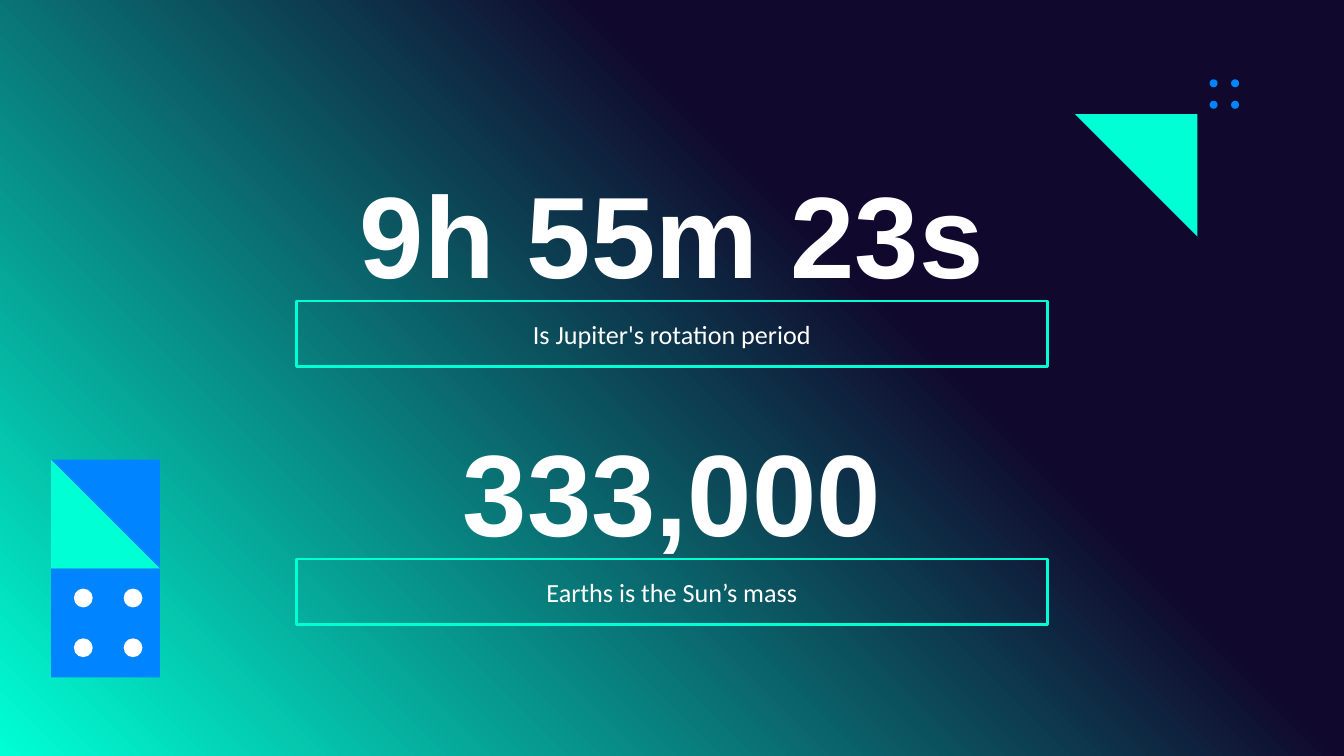
from pptx import Presentation
from pptx.dml.color import RGBColor
from pptx.enum.shapes import MSO_SHAPE
from pptx.enum.text import MSO_ANCHOR, PP_ALIGN
from pptx.util import Inches, Pt

NIGHT, MINT, BLUE, WHITE = "10092D", "00FFD5", "0084FF", "FFFFFF"
PAGE_WIDTH = 10
PAGE_HEIGHT = PAGE_WIDTH * 9 / 16


def color(value):
    return RGBColor.from_string(value)


def paint(shape, fill=None, line=None, width=1.5):
    shape.shadow.inherit = False
    if fill:
        shape.fill.solid()
        shape.fill.fore_color.rgb = color(fill)
    else:
        shape.fill.background()
    if line:
        shape.line.color.rgb = color(line)
        shape.line.width = Pt(width)
    else:
        shape.line.fill.background()


def add_preset(page, kind, left, top, width, height, **style):
    shape = page.shapes.add_shape(
        kind, Inches(left), Inches(top), Inches(width), Inches(height))
    paint(shape, **style)
    return shape


def add_triangle(page, corners, fill):
    points = [(Inches(x), Inches(y)) for x, y in corners]
    builder = page.shapes.build_freeform(*points[0])
    builder.add_line_segments(points[1:], close=True)
    paint(builder.convert_to_shape(), fill=fill)


def add_dots(page, left, top, size, step, fill):
    """Draw a two by two grid of dots."""
    for column in range(2):
        for row in range(2):
            add_preset(page, MSO_SHAPE.OVAL, left + column * step,
                       top + row * step, size, size, fill=fill)


def write(shape, text, *, font, size, bold=False):
    frame = shape.text_frame
    frame.word_wrap = True
    frame.vertical_anchor = MSO_ANCHOR.MIDDLE
    frame.margin_left = frame.margin_right = Inches(0.1)
    frame.margin_top = frame.margin_bottom = Inches(0.1)
    para = frame.paragraphs[0]
    para.alignment = PP_ALIGN.CENTER
    span = para.add_run()
    span.text = text
    span.font.name = font
    span.font.size = Pt(size)
    span.font.bold = bold
    span.font.color.rgb = color(WHITE)


def add_background(page):
    fill = page.background.fill
    fill.gradient()
    fill.gradient_angle = 225
    for stop, position, value in zip(fill.gradient_stops, (0.36, 1), (NIGHT, MINT)):
        stop.position = position
        stop.color.rgb = color(value)


def add_top_ornament(page, left, top, side):
    right = left + side
    add_triangle(page, [(left, top), (right, top), (right, top + side)], MINT)
    add_dots(page, right + 0.09, top - 0.26, 0.06, 0.16, BLUE)


def add_side_ornament(page, left, top, side):
    """Stack a square split along its diagonal on a square with four dots."""
    right, middle = left + side, top + side
    add_preset(page, MSO_SHAPE.RECTANGLE, left, middle, side, side, fill=BLUE)
    add_dots(page, left + 0.17, middle + 0.15, 0.14, 0.37, WHITE)
    add_triangle(page, [(left, top), (right, top), (right, middle)], BLUE)
    add_triangle(page, [(left, top), (right, middle), (left, middle)], MINT)


def add_figure(page, left, top, width, number, caption):
    title = page.shapes.add_textbox(
        Inches(left), Inches(top), Inches(width), Inches(0.91))
    write(title, number, font="Arial", size=62, bold=True)
    frame = add_preset(page, MSO_SHAPE.RECTANGLE, left, top + 0.97, width, 0.49, line=MINT)
    write(frame, caption, font="Calibri", size=14)


def main():
    deck = Presentation()
    deck.slide_width, deck.slide_height = Inches(PAGE_WIDTH), Inches(PAGE_HEIGHT)
    page = deck.slides.add_slide(deck.slide_layouts[6])
    add_background(page)
    add_top_ornament(page, 8, 0.85, 0.91)
    add_side_ornament(page, 0.38, 3.42, 0.81)
    figures = [("9h 55m 23s", "Is Jupiter's rotation period"),
               ("333,000", "Earths is the Sun’s mass")]
    width = 5.59
    for index, (number, caption) in enumerate(figures):
        add_figure(page, (PAGE_WIDTH - width) / 2, 1.27 + index * 1.92, width,
                   number, caption)
    deck.save("out.pptx")


if __name__ == "__main__":
    main()
